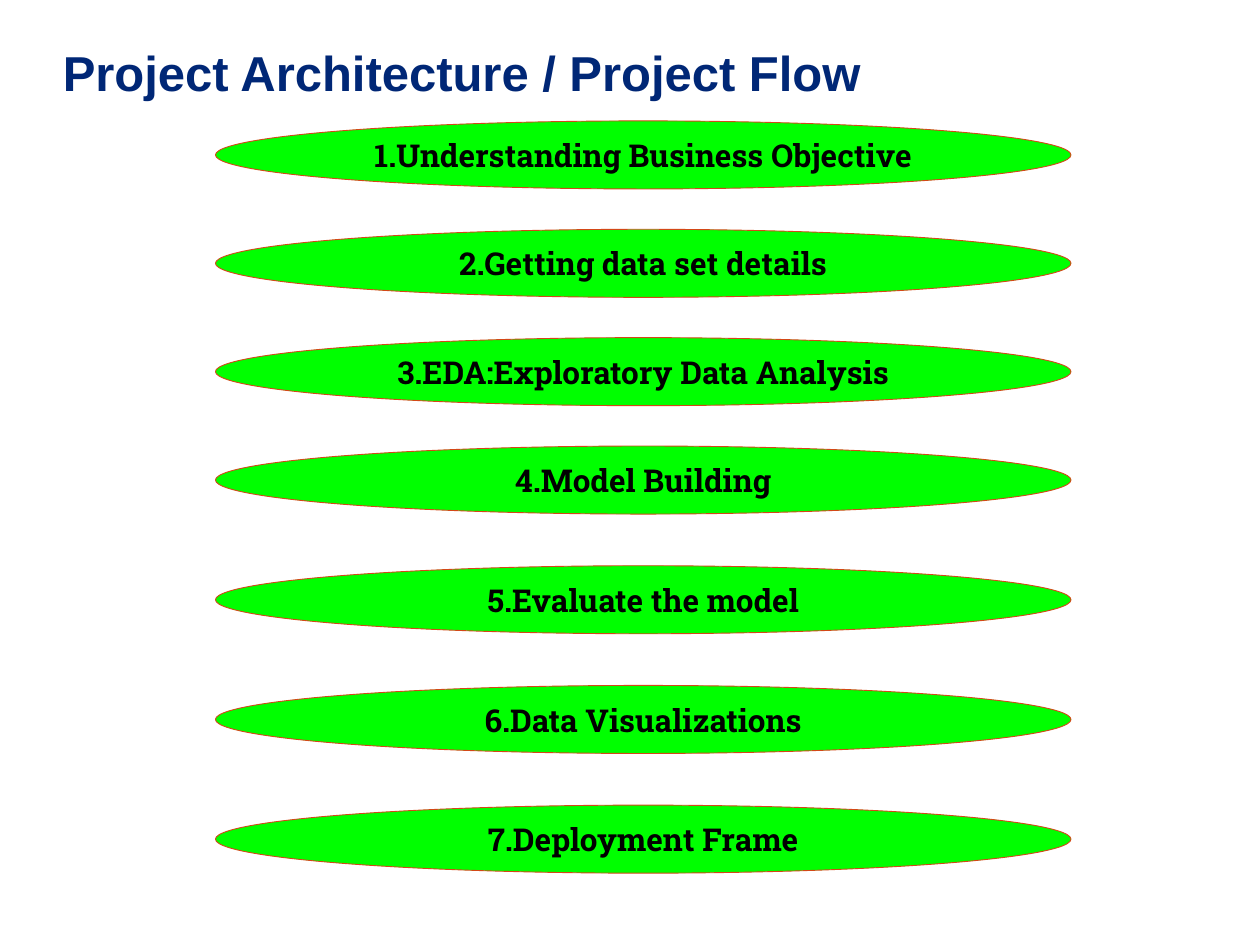
from pptx import Presentation
from pptx.dml.color import RGBColor
from pptx.enum.shapes import MSO_SHAPE
from pptx.enum.text import MSO_ANCHOR, MSO_AUTO_SIZE, PP_ALIGN
from pptx.util import Inches, Pt

ELLIPSE = MSO_SHAPE.OVAL
MIDDLE, TOP = MSO_ANCHOR.MIDDLE, MSO_ANCHOR.TOP
CENTER, LEFT = PP_ALIGN.CENTER, PP_ALIGN.LEFT
GROW = MSO_AUTO_SIZE.SHAPE_TO_FIT_TEXT

COLORS = {"title": "002776", "step": "00FF00", "outline": "D34817", "text": "000000"}

STEPS = [
    "Understanding Business Objective",
    "Getting data set details",
    "EDA:Exploratory Data Analysis",
    "Model Building",
    "Evaluate the model",
    "Data Visualizations",
    "Deployment Frame",
]
FIRST_TOP = 0.96
UPPER_PITCH, LOWER_PITCH = 0.86, 0.95
UPPER_GAPS = 3  # the gaps after step 4 are wider


def color(name):
    return RGBColor.from_string(COLORS[name])


def write_text(shape, text, *, font, size, color_name, align=LEFT, anchor=TOP):
    frame = shape.text_frame
    frame.word_wrap = True
    frame.vertical_anchor = anchor
    paragraph = frame.paragraphs[0]
    paragraph.alignment = align
    run = paragraph.add_run()
    run.text = text
    run.font.name = font
    run.font.size = Pt(size)
    run.font.bold = True
    run.font.color.rgb = color(color_name)


presentation = Presentation()
presentation.slide_width = Inches(10)
presentation.slide_height = Inches(7.5)
slide = presentation.slides.add_slide(presentation.slide_layouts[6])

title = slide.shapes.add_textbox(Inches(0.4), Inches(0.29), Inches(6.71), Inches(0.57))
write_text(title, "Project Architecture / Project Flow",
           font="Arial", size=28, color_name="title")
title.text_frame.auto_size = GROW

for index, step in enumerate(STEPS):
    upper = min(index, UPPER_GAPS)
    top = FIRST_TOP + upper * UPPER_PITCH + (index - upper) * LOWER_PITCH
    ellipse = slide.shapes.add_shape(
        ELLIPSE, Inches(1.71), Inches(top), Inches(6.79), Inches(0.54))
    ellipse.shadow.inherit = False
    ellipse.fill.solid()
    ellipse.fill.fore_color.rgb = color("step")
    ellipse.line.color.rgb = color("outline")
    ellipse.line.width = Pt(0.5)
    write_text(ellipse, f"{index + 1}.{step}", font="Roboto Slab", size=18,
               color_name="text", align=CENTER, anchor=MIDDLE)

presentation.save("out.pptx")
